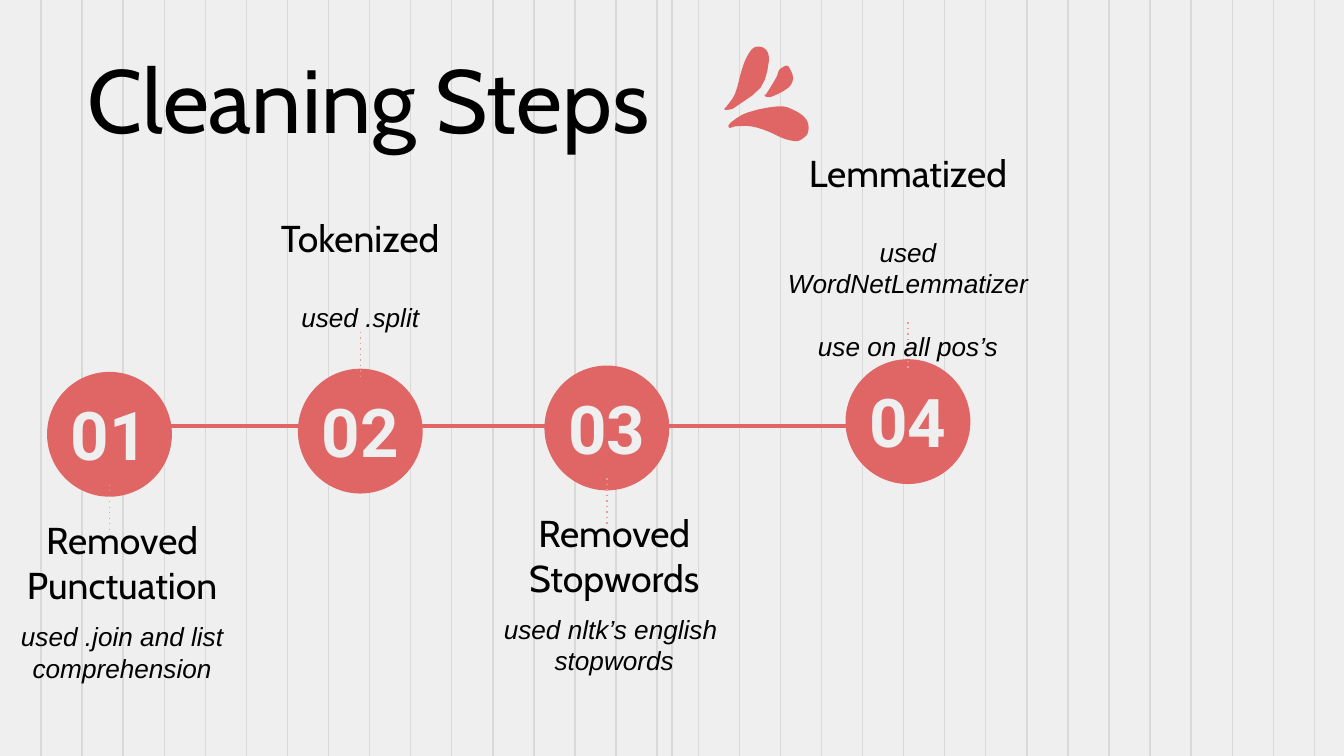
from math import hypot

from lxml import etree
from pptx import Presentation
from pptx import util as u
from pptx.dml.color import RGBColor
from pptx.enum import shapes, text
from pptx.oxml.ns import qn

COLOURS = {"paper": "EFEFEF", "rule": "D9D9D9", "coral": "E06666",
           "pink": "EA9999", "ink": "000000"}

# All lengths are in centimetres.
WIDTH, HEIGHT = 25.4, 14.29
RULE_COUNT, LAST_RULE = 32, 24.84
CIRCLE = 2.36
TEXT_WIDTH = 5.69
TITLE = "Cleaning Steps"

# Each detail is a list of paragraphs; "\n" is a line break.
STEPS = [
    dict(number="01", heading="Removed Punctuation",
         detail=["used .join and list comprehension"],
         centre=2.07, top=7.03, shift=0.24, below=True, heading_at=2.5, detail_height=1.7),
    dict(number="02", heading="Tokenized", detail=["used .split"],
         centre=6.81, top=6.97, shift=0, below=False, heading_at=-3.16, detail_height=1.12),
    dict(number="03", heading="Removed Stopwords",
         detail=["used nltk’s english \nstopwords"],
         centre=11.47, top=6.91, shift=0.14, below=True, heading_at=2.48, detail_height=1.7),
    dict(number="04", heading="Lemmatized",
         detail=["used WordNetLemmatizer", "use on all pos’s"],
         centre=17.16, top=6.79, shift=0, below=False, heading_at=-4.21, detail_height=2.9),
]

# Anchor points around each drop of the splash.
DROPS = [
    [(14.48, 1.83), (14.58, 1.83), (14.91, 1.65), (14.99, 1.47), (14.91, 1.27),
     (14.86, 1.24), (14.73, 1.32), (14.68, 1.45), (14.48, 1.78), (14.45, 1.8)],
    [(15.14, 2.64), (15.27, 2.51), (15.24, 2.26), (14.96, 2.06), (14.71, 2.01),
     (14.12, 2.13), (13.82, 2.31), (13.77, 2.41), (13.89, 2.39), (14.2, 2.39),
     (14.53, 2.49), (14.81, 2.62), (15.04, 2.67)],
    [(13.89, 2.03), (14.38, 1.65), (14.53, 1.17), (14.48, 0.94), (14.27, 0.89),
     (14.12, 1.07), (14.02, 1.32), (13.89, 1.78), (13.72, 2.03), (13.69, 2.06),
     (13.72, 2.08), (13.84, 2.06)],
]


def colour(name):
    return RGBColor.from_string(COLOURS[name])


def draw_line(slide, start, end, name, points, dash=None, head=None):
    line = slide.shapes.add_connector(
        shapes.MSO_CONNECTOR.STRAIGHT, *(u.Cm(v) for v in (*start, *end)))
    line.line.color.rgb = colour(name)
    line.line.width = u.Pt(points)
    properties = line._element.spPr
    stroke = properties.find(qn("a:ln"))
    if dash:
        etree.SubElement(stroke, qn("a:prstDash"), val=dash)
    if head:
        etree.SubElement(stroke, qn("a:headEnd"), type=head)
    etree.SubElement(properties, qn("a:effectLst"))
    return line


def paint(shape):
    shape.shadow.inherit = False
    shape.fill.solid()
    shape.fill.fore_color.rgb = colour("coral")
    shape.line.fill.background()


def write(slide, box, paragraphs, font, size, ink="ink", bold=False, italic=False,
          align=text.PP_ALIGN.CENTER, anchor=text.MSO_ANCHOR.TOP, gap=0):
    frame = slide.shapes.add_textbox(*(u.Cm(v) for v in box)).text_frame
    frame.word_wrap = True
    frame.vertical_anchor = anchor
    frame.margin_left = frame.margin_right = u.Cm(0.25)
    frame.margin_top = frame.margin_bottom = u.Cm(0.25)
    for i, content in enumerate(paragraphs):
        paragraph = frame.add_paragraph() if i else frame.paragraphs[0]
        paragraph.alignment = align
        if i:
            paragraph.space_before = u.Pt(gap)
        for j, part in enumerate(content.split("\n")):
            if j:
                paragraph.add_line_break()
            run = paragraph.add_run()
            run.text = part
            run.font.name, run.font.size = font, u.Pt(size)
            run.font.bold, run.font.italic = bold, italic
            run.font.color.rgb = colour(ink)


def smooth_outline(anchors, pieces=3):
    """Closed Hermite curve through the anchors, as a list of points."""
    def direction(i):
        (x0, y0), (x1, y1) = anchors[i - 1], anchors[(i + 1) % len(anchors)]
        length = hypot(x1 - x0, y1 - y0)
        return (x1 - x0) / length, (y1 - y0) / length

    points = []
    for i, a in enumerate(anchors):
        following = (i + 1) % len(anchors)
        b = anchors[following]
        chord = hypot(b[0] - a[0], b[1] - a[1])
        da, db = direction(i), direction(following)
        for step in range(pieces):
            t = step / pieces
            weights = (2 * t**3 - 3 * t**2 + 1, 3 * t**2 - 2 * t**3,
                       chord * (t**3 - 2 * t**2 + t), chord * (t**3 - t**2))
            points.append(tuple(
                sum(w * v[axis] for w, v in zip(weights, (a, b, da, db)))
                for axis in (0, 1)))
    return points


def draw_drop(slide, anchors):
    first, *rest = [(u.Cm(x), u.Cm(y)) for x, y in smooth_outline(anchors)]
    builder = slide.shapes.build_freeform(*first)
    builder.add_line_segments(rest, close=True)
    paint(builder.convert_to_shape())


def draw_step(slide, step):
    centre, top, below = step["centre"], step["top"], step["below"]
    circle = slide.shapes.add_shape(
        shapes.MSO_SHAPE.OVAL, u.Cm(centre - CIRCLE / 2), u.Cm(top),
        u.Cm(CIRCLE), u.Cm(CIRCLE))
    paint(circle)
    write(slide, (centre - 1.55, top - 0.09, 3.1, 2.51), [step["number"]], "Roboto", 36,
          ink="paper", bold=True, anchor=text.MSO_ANCHOR.MIDDLE)

    stem = top + (2.13 if below else -0.7)
    draw_line(slide, (centre, stem), (centre, stem + 0.86), "pink", 0.75, dash="dot")

    left = centre + step["shift"] - TEXT_WIDTH / 2
    heading_top = top + step["heading_at"]
    detail_top = heading_top + (1.95 if below else 1.63)
    write(slide, (left, detail_top, TEXT_WIDTH, step["detail_height"]), step["detail"],
          "Arial", 14, italic=True, gap=17)
    write(slide, (left, heading_top, TEXT_WIDTH, 2.24 if below else 1.37),
          [step["heading"]], "Cabin", 20)


def draw_rules(slide):
    """Draw the backdrop's rules and move them to the layout, behind the content."""
    gap = LAST_RULE / RULE_COUNT
    backdrop = slide.slide_layout.shapes._spTree
    for x in [gap * (i + 1) for i in range(RULE_COUNT)] + [WIDTH / 2]:
        rule = draw_line(slide, (x, 0), (x, HEIGHT), "rule", 0.75)
        backdrop.append(rule._element)


def main():
    deck = Presentation()
    deck.slide_width, deck.slide_height = u.Cm(WIDTH), u.Cm(HEIGHT)
    slide = deck.slides.add_slide(deck.slide_layouts[6])
    slide.background.fill.solid()
    slide.background.fill.fore_color.rgb = colour("paper")

    draw_rules(slide)
    draw_line(slide, (2.07, 8.05), (16.94, 8.05), "coral", 2.25, head="oval")
    write(slide, (1.4, 0.58, 21.34, 1.6), [TITLE], "Cabin", 48, align=text.PP_ALIGN.LEFT)
    for drop in DROPS:
        draw_drop(slide, drop)
    for step in STEPS:
        draw_step(slide, step)
    deck.save("out.pptx")


if __name__ == "__main__":
    main()
